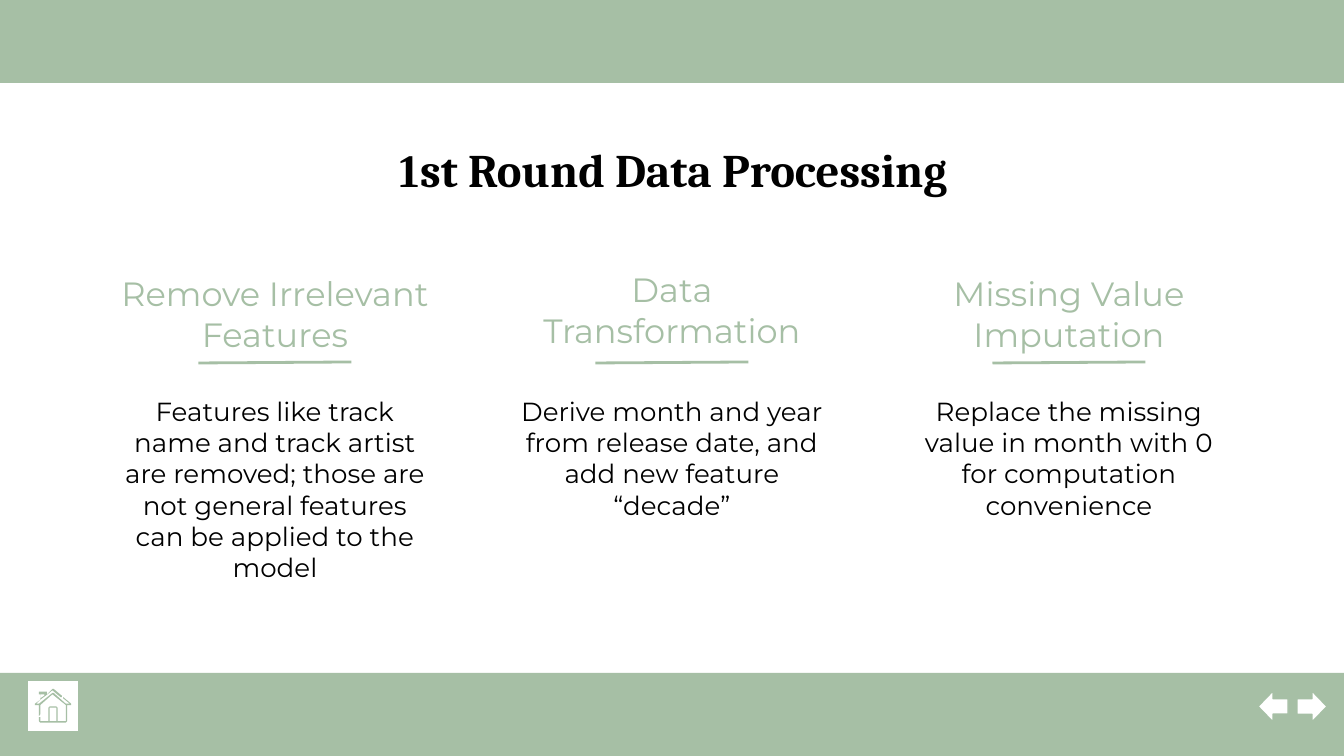
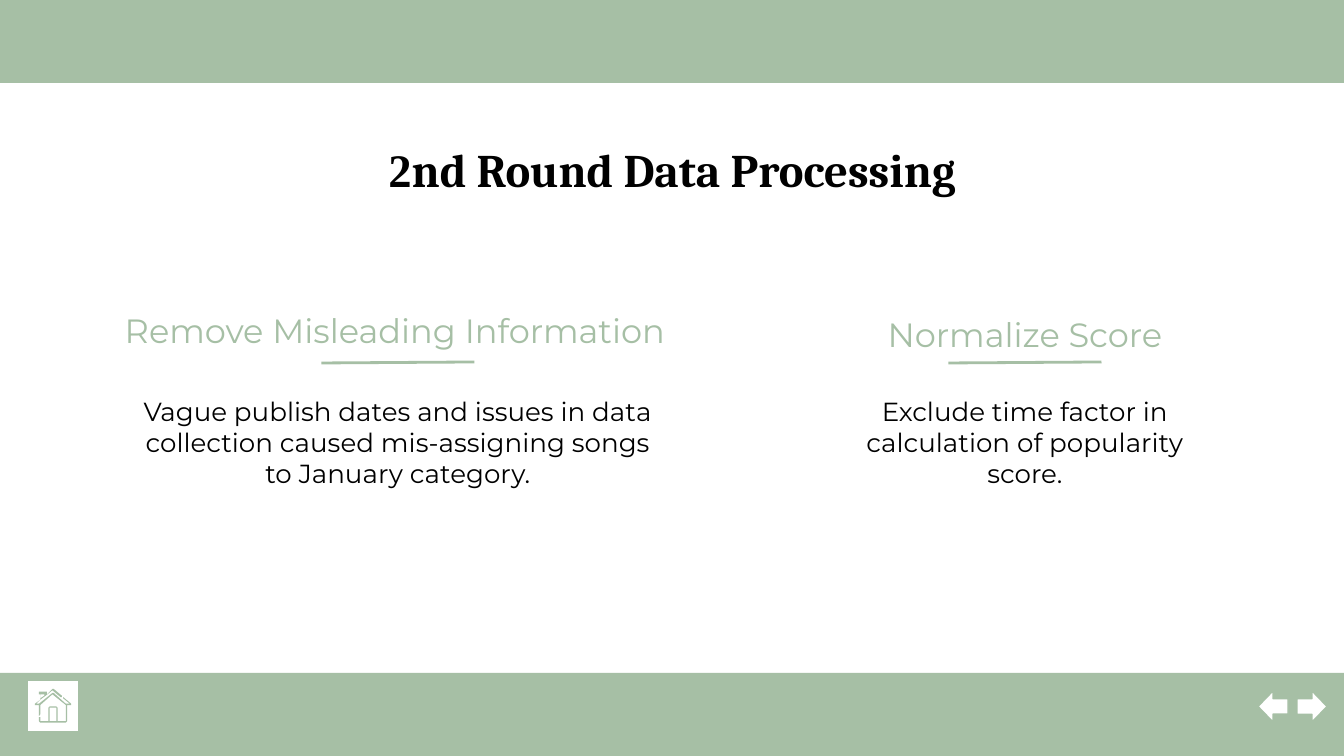
from dataclasses import dataclass

from lxml.etree import SubElement
from pptx import Presentation
from pptx.dml.color import RGBColor
from pptx.enum.shapes import MSO_CONNECTOR, MSO_SHAPE
from pptx.enum.text import MSO_ANCHOR, PP_ALIGN
from pptx.oxml.ns import qn
from pptx.util import Emu, Pt


@dataclass(frozen=True)
class Theme:
    green: RGBColor = RGBColor(0xA6, 0xBF, 0xA5)
    white: RGBColor = RGBColor(0xFF, 0xFF, 0xFF)
    black: RGBColor = RGBColor(0, 0, 0)
    title_font: str = "Cambria"
    digit_font: str = "Times New Roman"
    text_font: str = "Montserrat"
    title_size: int = 25
    heading_size: int = 18
    body_size: int = 14
    rule_width: float = 1.5
    edge_width: float = 0.75


THEME = Theme()

# Each column: heading, heading top, body
FIRST_ROUND = [
    ("Remove Irrelevant Features", 290,
     "Features like track name and track artist are removed; those are not "
     "general features can be applied to the model"),
    ("Data Transformation", 286,
     "Derive month and year from release date, and add new feature “decade”"),
    ("Missing Value Imputation", 290,
     "Replace the missing value in month with 0 for computation convenience"),
]
# Each column: heading, its (left, top, width), body, its (left, width, height)
SECOND_ROUND = [
    ("Remove Misleading Information", (106, 286, 578),
     "Vague publish dates and issues in data collection caused mis-assigning "
     "songs to January category.", (123, 550, 126)),
    ("Normalize Score", (855, 290, 340),
     "Exclude time factor in calculation of popularity score.", (816, 418, 109)),
]

# House outline, door and chimney openings, on a grid of hundredths of an inch
HOUSE = [
    [(13, 0), (9, 4), (9, 2), (3, 2), (3, 4), (4, 4), (4, 8), (0, 11), (0, 12),
     (3, 12), (3, 20), (4, 19), (4, 12), (13, 4), (23, 12), (23, 24), (17, 24),
     (17, 14), (16, 13), (11, 13), (10, 14), (10, 24), (4, 24), (4, 21),
     (3, 21), (3, 24), (4, 25), (23, 25), (24, 24), (24, 12), (27, 12),
     (27, 11), (21, 6), (21, 7), (26, 11), (23, 11), (14, 3), (13, 3), (3, 11),
     (1, 11), (4, 8), (8, 5), (13, 1), (19, 6), (20, 6), (20, 5), (14, 0)],
    [(16, 14), (16, 24), (11, 24), (11, 14)],
    [(7, 4), (7, 5), (4, 7), (4, 4)],
]
HOUSE_UNIT = 9144

WIDTH, HEIGHT = 1344, 756
BAND = 83
MARGIN = 105
COLUMN, PITCH = 340, 397
HEADING_HEIGHT = 77
BODY_TOP, BODY_HEIGHT = 382, 203
RULE_Y, RULE_LENGTH = 363, 153
INSET = 13


def px(n):
    return Emu(round(n * 914400 / 134.4))


def paint(sp, fill, edge=None):
    sp.shadow.inherit = False
    sp.fill.solid()
    sp.fill.fore_color.rgb = fill
    if edge is None:
        sp.line.fill.background()
    else:
        sp.line.color.rgb = edge
        sp.line.width = Pt(THEME.edge_width)


def add_preset(slide, kind, box, fill, edge=None, rotation=0):
    sp = slide.shapes.add_shape(kind, *map(px, box))
    paint(sp, fill, edge)
    sp.rotation = rotation


def add_text(slide, box, runs, font, size, color, bold=False, anchor=MSO_ANCHOR.TOP):
    """Add a centred text box and return its paragraph."""
    tf = slide.shapes.add_textbox(*map(px, box)).text_frame
    tf.word_wrap = True
    tf.vertical_anchor = anchor
    tf.margin_left = tf.margin_right = tf.margin_top = tf.margin_bottom = px(INSET)
    p = tf.paragraphs[0]
    p.alignment = PP_ALIGN.CENTER
    for text in runs:
        p.add_run().text = text
    p.font.name, p.font.size = font, Pt(size)
    p.font.color.rgb, p.font.bold = color, bold
    return p


def add_rule(slide, center):
    left = center - RULE_LENGTH / 2
    line = slide.shapes.add_connector(
        MSO_CONNECTOR.STRAIGHT, px(left), px(RULE_Y), px(left + RULE_LENGTH), px(RULE_Y - 1))
    line.line.color.rgb = THEME.green
    line.line.width = Pt(THEME.rule_width)
    SubElement(line._element.spPr, qn("a:effectLst"))


def add_column(slide, heading, heading_box, body, body_box):
    left, top, width = heading_box
    add_text(slide, (left, top, width, HEADING_HEIGHT), [heading], THEME.text_font,
             THEME.heading_size, THEME.green, anchor=MSO_ANCHOR.BOTTOM)
    left, width, height = body_box
    add_text(slide, (left, BODY_TOP, width, height), [body], THEME.text_font,
             THEME.body_size, THEME.black)
    add_rule(slide, left + width / 2)


def add_house(slide, left, top):
    builder = slide.shapes.build_freeform(*HOUSE[0][0], scale=HOUSE_UNIT)
    for i, contour in enumerate(HOUSE):
        if i:
            builder.move_to(*contour[0])
        builder.add_line_segments(contour[1:], close=True)
    paint(builder.convert_to_shape(px(left), px(top)), THEME.green)


def add_navigation(slide):
    for left, rotation in ((1258, 0), (1297, 180)):
        add_preset(slide, MSO_SHAPE.LEFT_ARROW, (left, 691, 30, 31),
                   THEME.white, THEME.green, rotation)
    add_preset(slide, MSO_SHAPE.RECTANGLE, (27, 680, 52, 52), THEME.white, THEME.green)
    add_house(slide, 35, 689)


def add_slide(prs, digit, title_rest, columns):
    slide = prs.slides.add_slide(prs.slide_layouts[6])
    for top in (0, HEIGHT - BAND):
        add_preset(slide, MSO_SHAPE.RECTANGLE, (0, top, WIDTH, BAND), THEME.green)
    p = add_text(slide, (MARGIN, 128, WIDTH - 2 * MARGIN, 81), [digit, title_rest],
                 THEME.title_font, THEME.title_size, THEME.black, bold=True)
    p.runs[0].font.name = THEME.digit_font
    for column in columns:
        add_column(slide, *column)
    add_navigation(slide)


def equal_columns(items):
    """Place the columns at equal steps from the left margin."""
    for i, (heading, top, body) in enumerate(items):
        left = MARGIN + i * PITCH
        yield heading, (left, top, COLUMN), body, (left, COLUMN, BODY_HEIGHT)


def main():
    prs = Presentation()
    prs.slide_width, prs.slide_height = px(WIDTH), px(HEIGHT)
    add_slide(prs, "1", "st Round Data Processing", equal_columns(FIRST_ROUND))
    add_slide(prs, "2", "nd Round Data Processing", SECOND_ROUND)
    prs.save("out.pptx")


if __name__ == "__main__":
    main()
